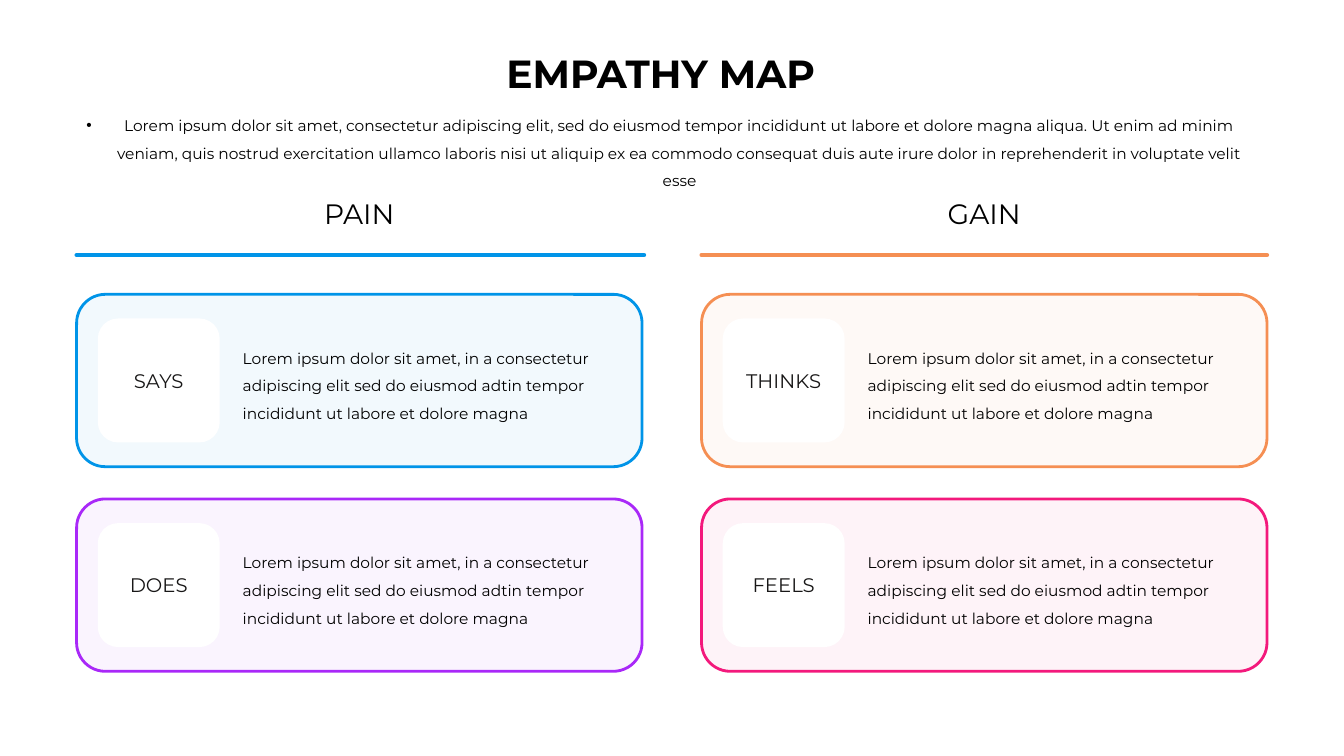
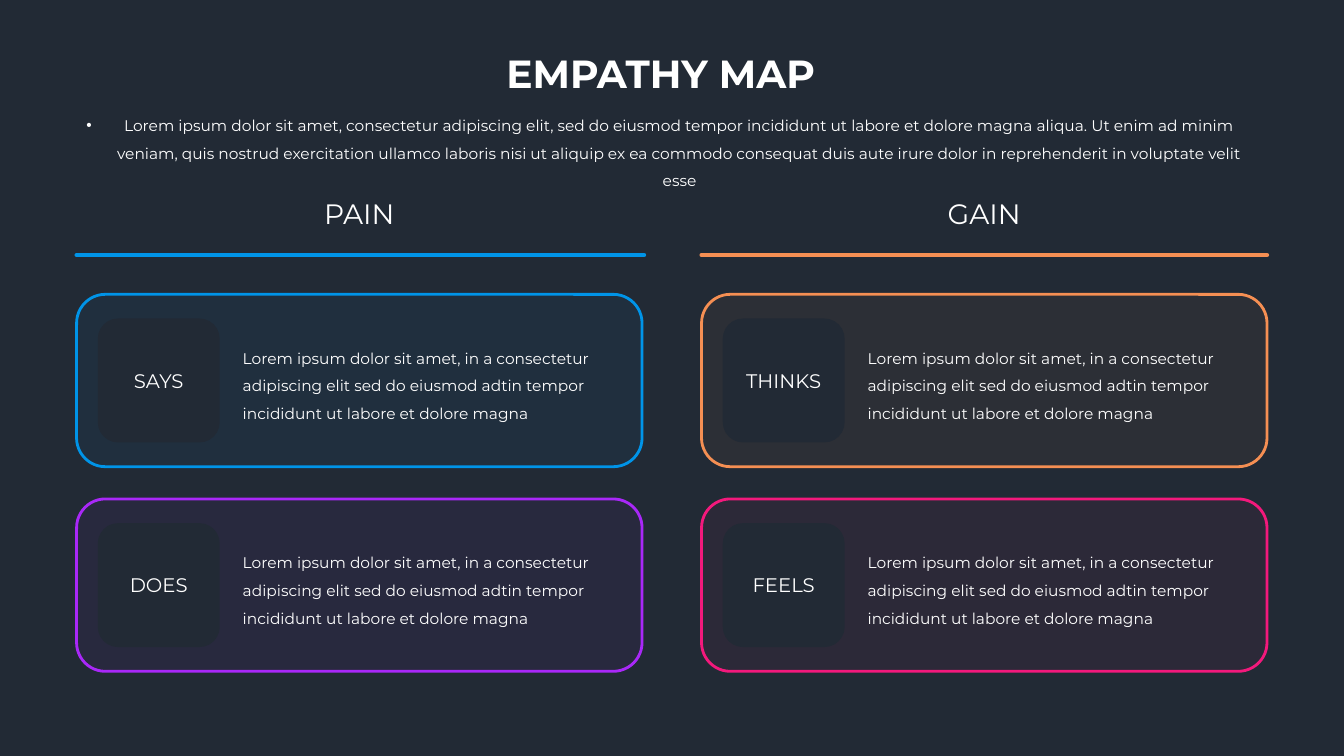
from dataclasses import dataclass
from typing import Any

from lxml import etree
from pptx import Presentation
from pptx import util as u
from pptx.dml.color import RGBColor
from pptx.enum import shapes, text
from pptx.oxml import ns

HUES = {
    "blue": "0094E8",
    "violet": "A928F8",
    "orange": "F58F53",
    "pink": "F3197C",
    "white": "FFFFFF",
    "black": "000000",
    "ink": "181717",
    "navy": "222A35",
}

CARD_W, CARD_H = 403.92, 123.12
CARD_TOP, ROW_STEP = 210.24, 146.16
LEFT, LANE_STEP = 54.72, 446.4
RULE_Y = 182.16
HEAD_W = 67.68

INTRO = (
    "Lorem ipsum dolor sit amet, consectetur adipiscing elit, sed do eiusmod "
    "tempor incididunt ut labore et dolore magna aliqua. Ut enim ad minim veniam, "
    "quis nostrud exercitation ullamco laboris nisi ut aliquip ex ea commodo "
    "consequat duis aute irure dolor in reprehenderit in voluptate velit esse"
)
NOTE = (
    "Lorem ipsum dolor sit amet, in a consectetur adipiscing elit sed do eiusmod "
    "adtin tempor incididunt ut labore et dolore magna"
)

GROW = {"auto_size": text.MSO_AUTO_SIZE.SHAPE_TO_FIT_TEXT,
        "vertical_anchor": text.MSO_ANCHOR.TOP}
MID = {"alignment": text.PP_ALIGN.CENTER, "space_before": u.Pt(0)}
FORMS: dict[str, dict[str, dict[str, Any]]] = {
    "title": {
        "frame": {**GROW, "word_wrap": False},
        "para": MID,
        "font": {"size": u.Pt(28), "bold": True},
    },
    "intro": {
        "frame": {**GROW, "word_wrap": True},
        "para": {**MID, "line_spacing": 1.5},
        "font": {"size": u.Pt(11)},
    },
    "head": {
        "frame": {**GROW, "word_wrap": False},
        "para": MID,
        "font": {"size": u.Pt(20)},
    },
    "tile": {
        "frame": {"vertical_anchor": text.MSO_ANCHOR.MIDDLE},
        "para": MID,
        "font": {"size": u.Pt(14)},
    },
    "note": {
        "frame": {**GROW, "word_wrap": True},
        "para": {"alignment": text.PP_ALIGN.LEFT, "line_spacing": 1.5},
        "font": {"size": u.Pt(11)},
    },
}


@dataclass(frozen=True)
class Theme:
    back: str
    fore: str
    label: str


@dataclass(frozen=True)
class Card:
    label: str
    hue: str


@dataclass(frozen=True)
class Lane:
    head: str
    hue: str
    span: float
    cards: tuple[Card, ...]


THEMES = (Theme("white", "black", "ink"), Theme("navy", "white", "white"))
LANES = (
    Lane("PAIN", "blue", 405.36, (Card("SAYS", "blue"), Card("DOES", "violet"))),
    Lane("GAIN", "orange", 403.92, (Card("THINKS", "orange"), Card("FEELS", "pink"))),
)


def tint(name: str) -> RGBColor:
    return RGBColor.from_string(HUES[name])


def apply(target: Any, values: dict[str, Any]) -> None:
    for key, value in values.items():
        setattr(target, key, value)


def place(shape: Any, *box: float) -> None:
    apply(shape, dict(zip(("left", "top", "width", "height"), map(u.Pt, box))))


def write(shape: Any, words: str, form: str, hue: str) -> None:
    style = FORMS[form]
    frame = shape.text_frame
    apply(frame, style["frame"])
    frame.text = words
    para = frame.paragraphs[0]
    apply(para, style["para"])
    font = para.runs[0].font
    apply(font, {"name": "Montserrat", **style["font"]})
    font.color.rgb = tint(hue)


def add_text(slide: Any, box: tuple[float, ...], words: str, form: str, hue: str) -> None:
    write(slide.shapes.add_textbox(*map(u.Pt, box)), words, form, hue)


def add_panel(slide: Any, box: tuple[float, ...], hue: str) -> Any:
    panel = slide.shapes.add_shape(shapes.MSO_SHAPE.ROUNDED_RECTANGLE, *map(u.Pt, box))
    panel.shadow.inherit = False
    panel.fill.solid()
    panel.fill.fore_color.rgb = tint(hue)
    panel.line.fill.background()
    return panel


def add_card(slide: Any, x: float, y: float, card: Card, theme: Theme) -> None:
    panel = add_panel(slide, (x, y, CARD_W, CARD_H), card.hue)
    shade = panel.element.spPr.find(ns.qn("a:solidFill"))[0]
    etree.SubElement(shade, ns.qn("a:alpha"), val="5000")
    panel.line.color.rgb = tint(card.hue)
    panel.line.width = u.Pt(2)
    tile = add_panel(slide, (x + 15.12, y + 17.28, 87.12, 88.56), theme.back)
    write(tile, card.label, "tile", theme.label)
    add_text(slide, (x + 111.6, y + 28.8, 271.44, 64.8), NOTE, "note", theme.fore)


def add_rule(slide: Any, x: float, span: float, hue: str) -> None:
    ends = map(u.Pt, (x, RULE_Y, x + span, RULE_Y))
    rule = slide.shapes.add_connector(shapes.MSO_CONNECTOR.STRAIGHT, *ends)
    rule.line.color.rgb = tint(hue)
    rule.line.width = u.Pt(3)
    props = rule.element.spPr
    props.find(ns.qn("a:ln")).set("cap", "rnd")
    etree.SubElement(props, ns.qn("a:effectLst"))


def add_lane(slide: Any, x: float, lane: Lane, theme: Theme) -> None:
    box = (x + (CARD_W - HEAD_W) / 2, 136.8, HEAD_W, 31.68)
    add_text(slide, box, lane.head, "head", theme.fore)
    add_rule(slide, x, lane.span, lane.hue)
    for row, card in enumerate(lane.cards):
        add_card(slide, x, CARD_TOP + row * ROW_STEP, card, theme)


def add_top(slide: Any, theme: Theme) -> None:
    title, intro = slide.shapes.title, slide.placeholders[1]
    place(title, 352.08, 31.68, 239.76, 41.04)
    write(title, "EMPATHY MAP", "title", theme.fore)
    place(intro, 45.36, 72.72, 853.2, 45.36)
    props = intro.text_frame.paragraphs[0]._p.get_or_add_pPr()
    props.set("marL", "0")
    props.set("indent", "0")
    etree.SubElement(props, ns.qn("a:buNone"))
    write(intro, INTRO, "intro", theme.fore)


def add_map(deck: Any, theme: Theme) -> None:
    slide = deck.slides.add_slide(deck.slide_layouts[1])
    fill = slide.background.fill
    fill.solid()
    fill.fore_color.rgb = tint(theme.back)
    add_top(slide, theme)
    for col, lane in enumerate(LANES):
        add_lane(slide, LEFT + col * LANE_STEP, lane, theme)


def main() -> None:
    deck = Presentation()
    apply(deck, {"slide_width": u.Pt(960), "slide_height": u.Pt(540)})
    for theme in THEMES:
        add_map(deck, theme)
    deck.save("out.pptx")


if __name__ == "__main__":
    main()
